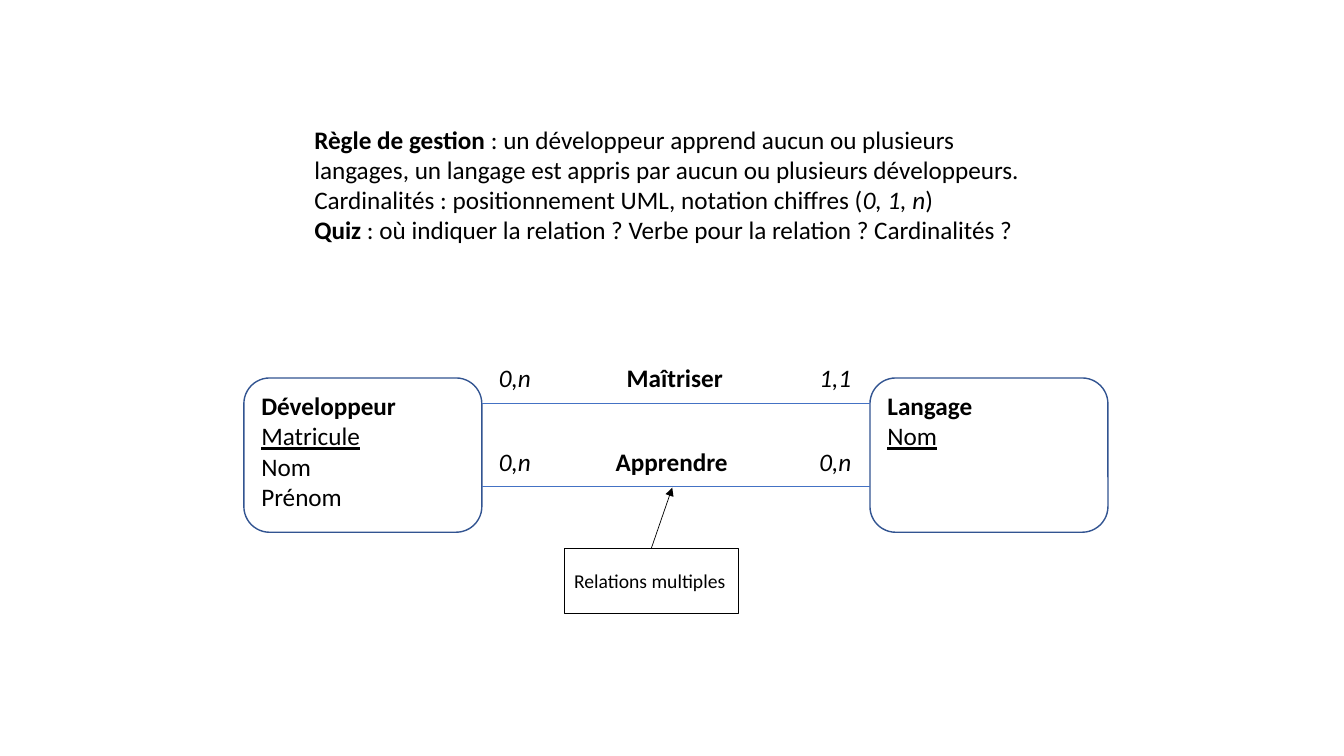
from dataclasses import dataclass

from lxml import etree
from pptx import Presentation
from pptx import util as u
from pptx.dml.color import RGBColor
from pptx.enum import shapes, text
from pptx.oxml import ns

BLACK = RGBColor(0x00, 0x00, 0x00)
WHITE = RGBColor(0xFF, 0xFF, 0xFF)
BLUE = RGBColor(0x44, 0x72, 0xC4)
DARK_BLUE = RGBColor(0x32, 0x54, 0x91)

FONT = "Calibri"
PLAIN, BOLD, ITALIC, UNDERLINE = {}, {"bold": True}, {"italic": True}, {"underline": True}

ENTITY_TOP, ENTITY_WIDTH, ENTITY_HEIGHT = 270, 170, 110.2
DEVELOPER_LEFT, LANGUAGE_LEFT = 174.2, 621.4
LABEL_RISE, LABEL_HEIGHT, CARDINALITY_WIDTH = 32.5, 29.1, 37.4

Run = tuple[str, dict]
Paragraphs = list[list[Run]]


@dataclass(frozen=True)
class Box:
    left: float
    top: float
    width: float
    height: float

    def lengths(self) -> list:
        return [u.Pt(value) for value in (self.left, self.top, self.width, self.height)]


@dataclass(frozen=True)
class Entity:
    left: float
    name: str
    key: str
    attributes: tuple[str, ...] = ()


@dataclass(frozen=True)
class Relation:
    y: float
    verb: str
    verb_left: float
    verb_width: float
    start: str
    end: str


ENTITIES = [
    Entity(DEVELOPER_LEFT, "Développeur", "Matricule", ("Nom", "Prénom")),
    Entity(LANGUAGE_LEFT, "Langage", "Nom"),
]
RELATIONS = [
    Relation(288, "Maîtriser", 440.6, 83.5, "0,n", "1,1"),
    Relation(347.5, "Apprendre", 432.7, 95, "0,n", "0,n"),
]
RULES: Paragraphs = [
    [("Règle de gestion ", BOLD),
     (": un développeur apprend aucun ou plusieurs langages, "
      "un langage est appris par aucun ou plusieurs développeurs.", PLAIN)],
    [("Cardinalités : positionnement UML, notation chiffres (", PLAIN),
     ("0, 1, n", ITALIC), (")", PLAIN)],
    [("Quiz", BOLD),
     (" : où indiquer la relation ? Verbe pour la relation ? Cardinalités ?", PLAIN)],
]


def write(frame, paragraphs: Paragraphs, size: float = 18) -> None:
    for index, runs in enumerate(paragraphs):
        paragraph = frame.paragraphs[0] if index == 0 else frame.add_paragraph()
        paragraph.alignment = text.PP_ALIGN.LEFT
        for words, formats in runs:
            run = paragraph.add_run()
            run.text = words
            run.font.color.rgb = BLACK
            for name, value in {"name": FONT, "size": u.Pt(size), **formats}.items():
                setattr(run.font, name, value)


def add_text(slide, box: Box, paragraphs: Paragraphs, wrap: bool = False) -> None:
    frame = slide.shapes.add_textbox(*box.lengths()).text_frame
    frame.word_wrap = wrap
    frame.auto_size = text.MSO_AUTO_SIZE.SHAPE_TO_FIT_TEXT
    write(frame, paragraphs)


def add_box(slide, kind, box: Box, line_color: RGBColor, line_width: float):
    shape = slide.shapes.add_shape(kind, *box.lengths())
    shape.shadow.inherit = False
    shape.line.color.rgb = line_color
    shape.line.width = u.Pt(line_width)
    shape.text_frame.word_wrap = True
    return shape


def add_entity(slide, entity: Entity) -> None:
    box = Box(entity.left, ENTITY_TOP, ENTITY_WIDTH, ENTITY_HEIGHT)
    shape = add_box(slide, shapes.MSO_SHAPE.ROUNDED_RECTANGLE, box, DARK_BLUE, 1)
    shape.fill.solid()
    shape.fill.fore_color.rgb = WHITE
    shape.text_frame.vertical_anchor = text.MSO_ANCHOR.TOP
    write(shape.text_frame, [[(entity.name, BOLD)], [(entity.key, UNDERLINE)]]
          + [[(attribute, PLAIN)] for attribute in entity.attributes])


def add_line(slide, start: tuple[float, float], end: tuple[float, float],
             color: RGBColor, width: float):
    points = [u.Pt(value) for value in (*start, *end)]
    connector = slide.shapes.add_connector(shapes.MSO_CONNECTOR.STRAIGHT, *points)
    connector.line.color.rgb = color
    connector.line.width = u.Pt(width)
    etree.SubElement(connector.element.spPr, ns.qn("a:effectLst"))
    return connector


def add_relation(slide, relation: Relation) -> None:
    line_start = DEVELOPER_LEFT + ENTITY_WIDTH
    add_line(slide, (line_start, relation.y), (LANGUAGE_LEFT, relation.y), BLUE, 1)
    labels = [
        (relation.start, 349.2, CARDINALITY_WIDTH, ITALIC),
        (relation.verb, relation.verb_left, relation.verb_width, BOLD),
        (relation.end, 578.2, CARDINALITY_WIDTH, ITALIC),
    ]
    for words, left, width, formats in labels:
        box = Box(left, relation.y - LABEL_RISE, width, LABEL_HEIGHT)
        add_text(slide, box, [[(words, formats)]])


def add_note(slide) -> None:
    box = Box(403, 391.7, 124.5, 46.4)
    note = add_box(slide, shapes.MSO_SHAPE.RECTANGLE, box, BLACK, 0.5)
    note.fill.background()
    note.text_frame.vertical_anchor = text.MSO_ANCHOR.MIDDLE
    write(note.text_frame, [[("Relations multiples", PLAIN)]], size=14)

    pointer = add_line(slide, (box.left + box.width / 2, box.top), (480.2, 348.3), BLACK, 0.5)
    pointer.begin_connect(note, 0)
    etree.SubElement(pointer.line._get_or_add_ln(), ns.qn("a:tailEnd"), type="triangle")


def main() -> None:
    presentation = Presentation()
    presentation.slide_width, presentation.slide_height = u.Pt(960), u.Pt(540)
    slide = presentation.slides.add_slide(presentation.slide_layouts[6])

    # Entities and the relations between them
    for entity in ENTITIES:
        add_entity(slide, entity)
    for relation in RELATIONS:
        add_relation(slide, relation)

    # Management rules above the diagram
    add_text(slide, Box(217.4, 85, 525, 94.5), RULES, wrap=True)

    # Note pointing at the lower relation
    add_note(slide)

    presentation.save("out.pptx")


if __name__ == "__main__":
    main()
